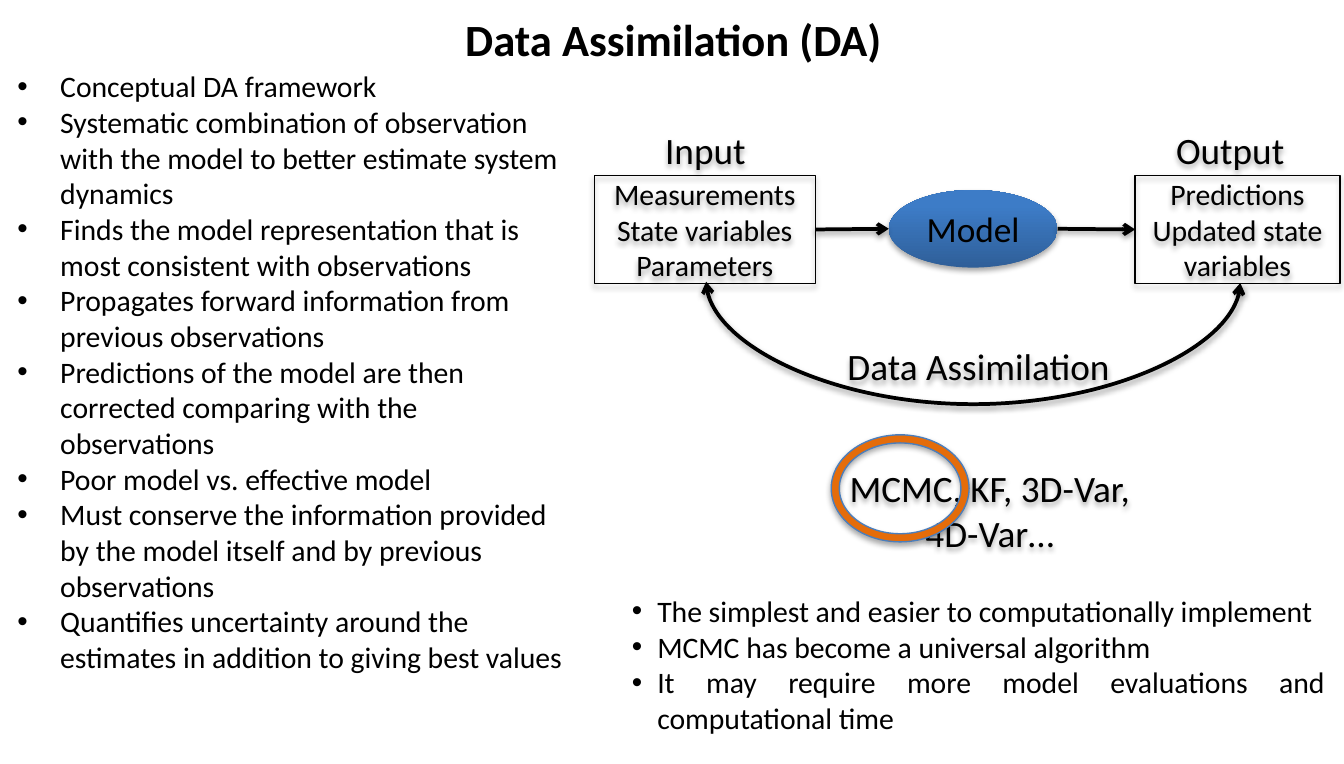
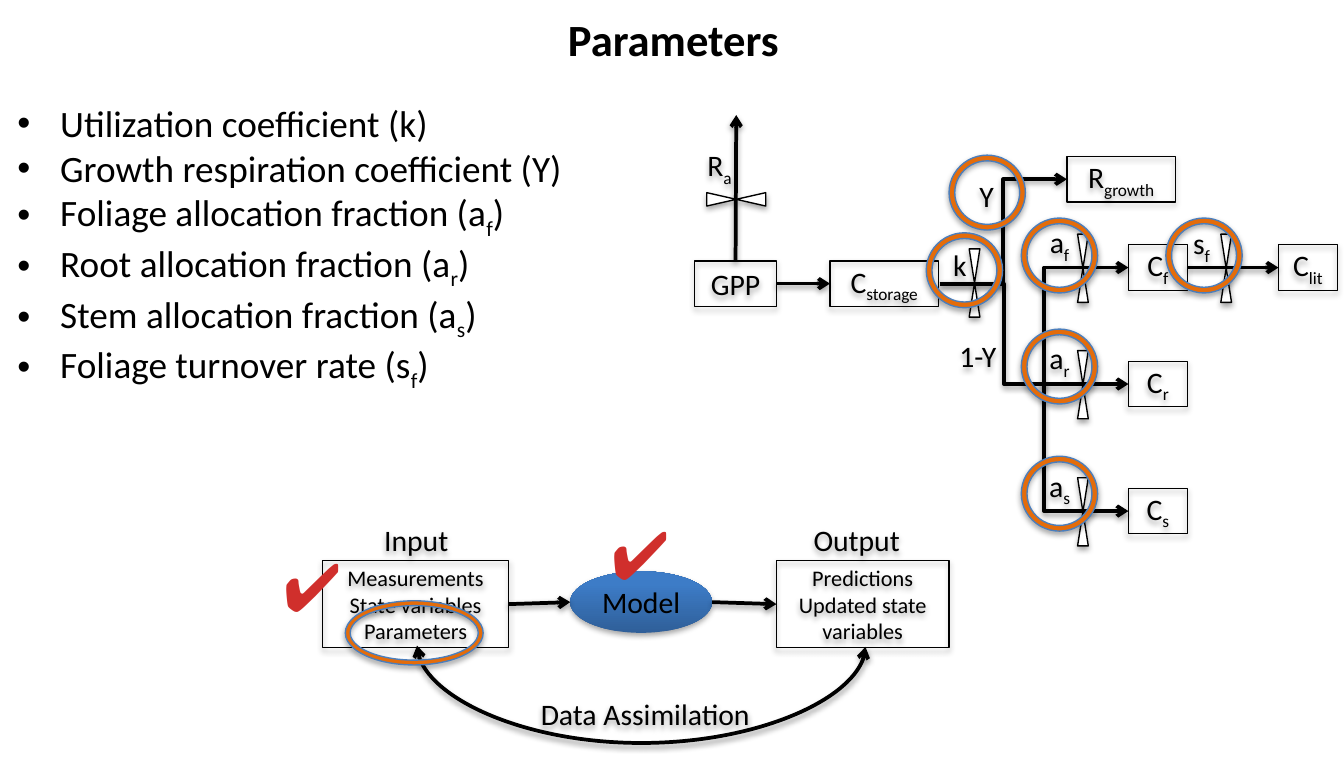
from lxml import etree
from pptx import Presentation
from pptx.dml.color import RGBColor
from pptx.enum.shapes import MSO_CONNECTOR, MSO_SHAPE
from pptx.enum.text import MSO_ANCHOR, MSO_AUTO_SIZE, PP_ALIGN
from pptx.oxml.ns import qn
from pptx.util import Pt

PX = 9144  # EMU in one px, 100 px to the inch
BLACK = RGBColor(0, 0, 0)
ORANGE = RGBColor(0xE4, 0x6C, 0x0A)
RING_EDGE = RGBColor(0x4B, 0x7E, 0xBC)
MODEL_DARK = RGBColor(0x2F, 0x5F, 0x99)
MODEL_LIGHT = RGBColor(0x3D, 0x7C, 0xC7)
RED = RGBColor(0xD0, 0x2F, 0x2C)

RECTANGLE = MSO_SHAPE.RECTANGLE
OVAL = MSO_SHAPE.OVAL
DONUT = MSO_SHAPE.DONUT
COLLATE = MSO_SHAPE.FLOWCHART_COLLATE
STRAIGHT = MSO_CONNECTOR.STRAIGHT
ELBOW = MSO_CONNECTOR.ELBOW
CURVE = MSO_CONNECTOR.CURVE
TOP_ANCHOR = MSO_ANCHOR.TOP
MIDDLE_ANCHOR = MSO_ANCHOR.MIDDLE
NO_AUTOFIT = MSO_AUTO_SIZE.NONE
LEFT, CENTER, JUSTIFY = PP_ALIGN.LEFT, PP_ALIGN.CENTER, PP_ALIGN.JUSTIFY
TOP_SIDE, LEFT_SIDE, RIGHT_SIDE = 0, 1, 3

TITLE_ONLY_BODY, TWO_BODIES = 1, 3

FRAMEWORK = [
    "Conceptual DA framework",
    "Systematic combination of observation with the model to better estimate system dynamics",
    "Finds the model representation that is most consistent with observations",
    "Propagates forward information from previous observations",
    "Predictions of the model are then corrected comparing with the observations",
    "Poor model vs. effective model",
    "Must conserve the information provided by the model itself and by previous observations",
    "Quantifies uncertainty around the estimates in addition to giving best values",
]
MCMC_NOTES = [
    "The simplest and easier to computationally implement",
    "MCMC has become a universal algorithm",
    "It may require more model evaluations and computational time",
]
PARAMETERS = [
    "Utilization coefficient (k)",
    "Growth respiration coefficient (Y)",
    "Foliage allocation fraction (a_f_)",
    "Root allocation fraction (a_r_)",
    "Stem allocation fraction (a_s_)",
    "Foliage turnover rate (s_f_)",
]


def emu(*lengths):
    return [round(length * PX) for length in lengths]


def move(shape, box):
    shape.left, shape.top, shape.width, shape.height = emu(*box)


def add_shadow(shape, distance=23000, opacity=35):
    effects = etree.SubElement(shape._element.spPr, qn("a:effectLst"))
    outer = etree.SubElement(
        effects, qn("a:outerShdw"), blurRad="40000", dist=str(distance),
        dir="5400000", rotWithShape="0")
    color = etree.SubElement(outer, qn("a:srgbClr"), val=str(BLACK))
    etree.SubElement(color, qn("a:alpha"), val=str(opacity * 1000))


def write(shape, lines, size, align=CENTER, anchor=MIDDLE_ANCHOR, insets=(0, 0),
          indent=None, color=BLACK, font="Calibri", bold=False):
    """Fill a text frame; parts between underscores become subscripts."""
    frame = shape.text_frame
    frame.word_wrap = True
    frame.auto_size = NO_AUTOFIT
    frame.vertical_anchor = anchor
    frame.margin_left, frame.margin_top = emu(*insets)
    frame.margin_right, frame.margin_bottom = emu(*insets)
    for index, line in enumerate(lines):
        paragraph = frame.paragraphs[0] if index == 0 else frame.add_paragraph()
        paragraph.alignment = align
        paragraph.space_before = Pt(0)
        if indent:
            properties = paragraph._p.get_or_add_pPr()
            properties.set("marL", str(indent * PX))
            properties.set("indent", str(-indent * PX))
        paragraph.font.size = Pt(size)
        paragraph.font.name = font
        paragraph.font.bold = bold
        paragraph.font.color.rgb = color
        for part, text in enumerate(line.split("_")):
            if text:
                run = paragraph.add_run()
                run.text = text
                if part % 2:
                    run._r.get_or_add_rPr().set("baseline", "-25000")


def add_titled_slide(presentation, layout, title):
    slide = presentation.slides.add_slide(presentation.slide_layouts[layout])
    move(slide.shapes.title, (22, 4, 962, 49))
    write(slide.shapes.title, [title], 24, anchor=TOP_ANCHOR, insets=(10, 5), bold=True)
    return slide


def fill_list(slide, index, box, items, size, indent=32, align=LEFT):
    body = slide.placeholders[index]
    move(body, box)
    write(body, items, size, align, TOP_ANCHOR, (10, 5), indent)


def add_label(slide, box, text, size=16, insets=(0, 0)):
    label = slide.shapes.add_textbox(*emu(*box))
    add_shadow(label)
    write(label, [text], size, insets=insets)


def add_outlined(slide, kind, box, color=BLACK, fill=None):
    shape = slide.shapes.add_shape(kind, *emu(*box))
    if fill is None:
        shape.fill.background()
    else:
        shape.fill.solid()
        shape.fill.fore_color.rgb = fill
    shape.line.color.rgb = color
    shape.line.width = Pt(0.75)
    add_shadow(shape)
    return shape


def add_box(slide, box, lines, size=16):
    shape = add_outlined(slide, RECTANGLE, box)
    write(shape, lines, size)
    return shape


def add_ring(slide, box):
    ring = add_outlined(slide, DONUT, box, RING_EDGE, ORANGE)
    ring.adjustments[0] = 0.076


def add_valve(slide, box, rotation=0):
    valve = add_outlined(slide, COLLATE, box, BLACK, RGBColor(255, 255, 255))
    valve.rotation = rotation


def add_model(slide, box, size):
    model = slide.shapes.add_shape(OVAL, *emu(*box))
    model.fill.gradient()
    model.fill.gradient_angle = 90
    stops = model.fill.gradient_stops
    for stop, position, color in zip(stops, (0, 0.8), (MODEL_DARK, MODEL_LIGHT)):
        stop.position = position
        stop.color.rgb = color
    model.line.fill.background()
    add_shadow(model)
    write(model, ["Model"], size)


def add_arrow(slide, start, end, kind=STRAIGHT, both_ends=False):
    arrow = slide.shapes.add_connector(kind, *emu(*start, *end))
    arrow.line.color.rgb = BLACK
    arrow.line.width = Pt(2)
    line = arrow._element.spPr.find(qn("a:ln"))
    if both_ends:
        etree.SubElement(line, qn("a:headEnd"), type="arrow")
    etree.SubElement(line, qn("a:tailEnd"), type="arrow")
    add_shadow(arrow, 20000, 38)
    return arrow


def set_bend(arrow, fraction):
    geometry = arrow._element.spPr.find(qn("a:prstGeom"))
    guides = geometry.find(qn("a:avLst"))
    etree.SubElement(guides, qn("a:gd"), name="adj1", fmla=f"val {round(fraction * 100000)}")


def add_elbow(slide, start, end, bend):
    set_bend(add_arrow(slide, start, end, ELBOW), bend)


def add_feedback(slide, left, right, top, depth):
    """Double arrow hanging below two points: a connector turned by 270 degrees."""
    middle, span = (left + right) / 2, right - left
    arrow = add_arrow(slide, (middle, top - span / 2), (middle + 1, top + span / 2),
                      CURVE, both_ends=True)
    transform = arrow._element.spPr.find(qn("a:xfrm"))
    transform.set("rot", str(270 * 60000))
    transform.set("flipH", "1")
    set_bend(arrow, depth)


def add_assimilation_loop(slide, left, top, scale_x, scale_y, label_size, box_size, model_size):
    def place(x, y, width, height):
        return (round(left + x * scale_x), round(top + y * scale_y),
                round(width * scale_x), round(height * scale_y))

    inputs = add_box(slide, place(0, 37, 165, 81),
                     ["Measurements", "State variables", "Parameters"], box_size)
    outputs = add_box(slide, place(404, 37, 153, 81),
                      ["Predictions", "Updated state variables"], box_size)
    model_box = place(220, 48, 126, 58)
    add_model(slide, model_box, model_size)
    model_left, model_top, model_width, model_height = model_box
    middle = model_top + model_height / 2
    add_arrow(slide, (model_left - 50, middle), (model_left, middle)).begin_connect(
        inputs, RIGHT_SIDE)
    model_right = model_left + model_width
    add_arrow(slide, (model_right, middle), (model_right + 50, middle)).end_connect(
        outputs, LEFT_SIDE)
    add_label(slide, place(32, 0, 102, 35), "Input", label_size)
    add_label(slide, place(424, 0, 102, 35), "Output", label_size)
    add_label(slide, place(173, 162, 228, 35), "Data Assimilation", label_size)
    curve_left, curve_top, span, depth = place(83, 117, 399, 93)
    add_feedback(slide, curve_left, curve_left + span, curve_top, depth)


def add_carbon_flow(slide):
    storage = add_box(slide, (620, 195, 81, 34), ["C_storage_"])
    production = add_box(slide, (519, 195, 61, 34), ["GPP"])
    inflow = add_arrow(slide, (580, 212), (620, 212))
    inflow.begin_connect(production, RIGHT_SIDE)
    inflow.end_connect(storage, LEFT_SIDE)
    add_arrow(slide, (550, 195), (550, 86)).begin_connect(production, TOP_SIDE)
    add_valve(slide, (545, 127, 10, 44), 90)
    add_valve(slide, (724, 186, 8, 51))

    pools = {}
    for name, middle in (("f", 200), ("r", 287), ("s", 382)):
        pools[name] = add_box(slide, (843, middle - 17, 44, 34), [f"C_{name}_"])
        add_valve(slide, (805, middle - 25, 8, 51))
        add_label(slide, (771, middle - 31, 41, 27), f"a_{name}_")
    add_elbow(slide, (780, 285), (843, 382), 0)
    add_elbow(slide, (780, 292), (843, 200), 0)
    add_elbow(slide, (702, 212), (843, 287), 0.34)
    add_elbow(slide, (702, 212), (797, 134), 0.5)

    add_valve(slide, (912, 175, 8, 51))
    litter = add_box(slide, (955, 183, 44, 34), ["C_lit_"])
    turnover = add_arrow(slide, (887, 200), (955, 200))
    turnover.begin_connect(pools["f"], RIGHT_SIDE)
    turnover.end_connect(litter, LEFT_SIDE)
    add_box(slide, (797, 117, 81, 34), ["R_growth_"])

    for text, box in (("k", (699, 181, 36, 34)), ("R_a_", (513, 108, 49, 34)),
                      ("s_f_", (878, 170, 39, 27)), ("Y", (719, 129, 36, 34)),
                      ("1-Y", (705, 250, 51, 32))):
        add_label(slide, box, text)
    for x, y in ((709, 116), (692, 174), (763, 163), (763, 246), (763, 341), (871, 163)):
        add_ring(slide, (x, y, 57, 56))


def add_check_mark(slide, left, top):
    mark = slide.shapes.add_textbox(*emu(left, top, 127, 80))
    write(mark, ["✔"], 36, insets=(10, 5), color=RED, font="Arial", bold=True)


def build_assimilation_slide(presentation):
    slide = add_titled_slide(presentation, TWO_BODIES, "Data Assimilation (DA)")
    fill_list(slide, 1, (3, 46, 428, 502), FRAMEWORK, 16)
    fill_list(slide, 2, (462, 438, 538, 120), MCMC_NOTES, 16, 19, JUSTIFY)
    add_assimilation_loop(slide, 444, 94, 1, 1, 20, 16, 19)
    add_label(slide, (613, 337, 253, 88), "MCMC, KF, 3D-Var, 4D-Var…", 20, (10, 5))
    add_ring(slide, (621, 325, 103, 80))


def build_parameters_slide(presentation):
    slide = add_titled_slide(presentation, TITLE_ONLY_BODY, "Parameters")
    fill_list(slide, 1, (3, 70, 444, 215), PARAMETERS, 20)
    add_carbon_flow(slide)
    add_assimilation_loop(slide, 241, 389, 0.84, 0.8, 16, 12, 16)
    add_check_mark(slide, 415, 373)
    add_check_mark(slide, 170, 397)
    add_ring(slide, (258, 449, 103, 48))


def main():
    presentation = Presentation()
    presentation.slide_width, presentation.slide_height = emu(1004, 571)
    build_assimilation_slide(presentation)
    build_parameters_slide(presentation)
    presentation.save("out.pptx")


if __name__ == "__main__":
    main()
